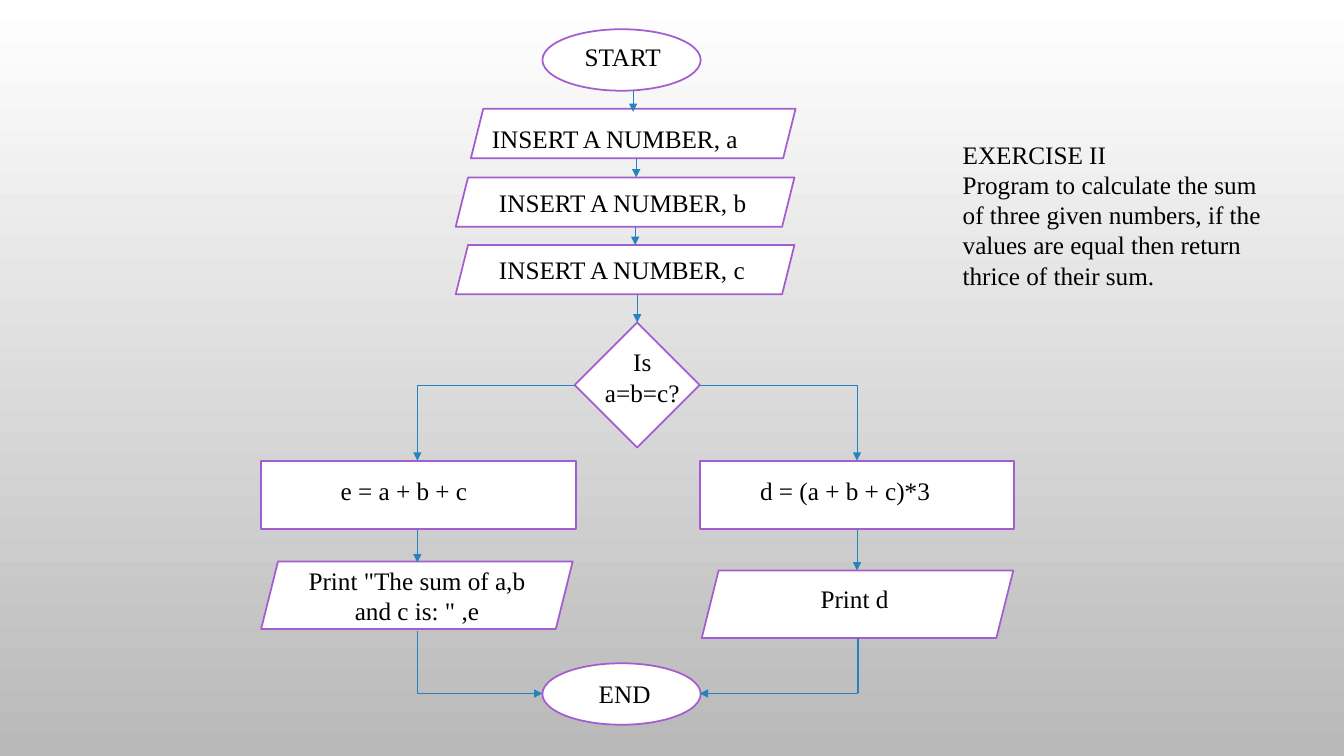
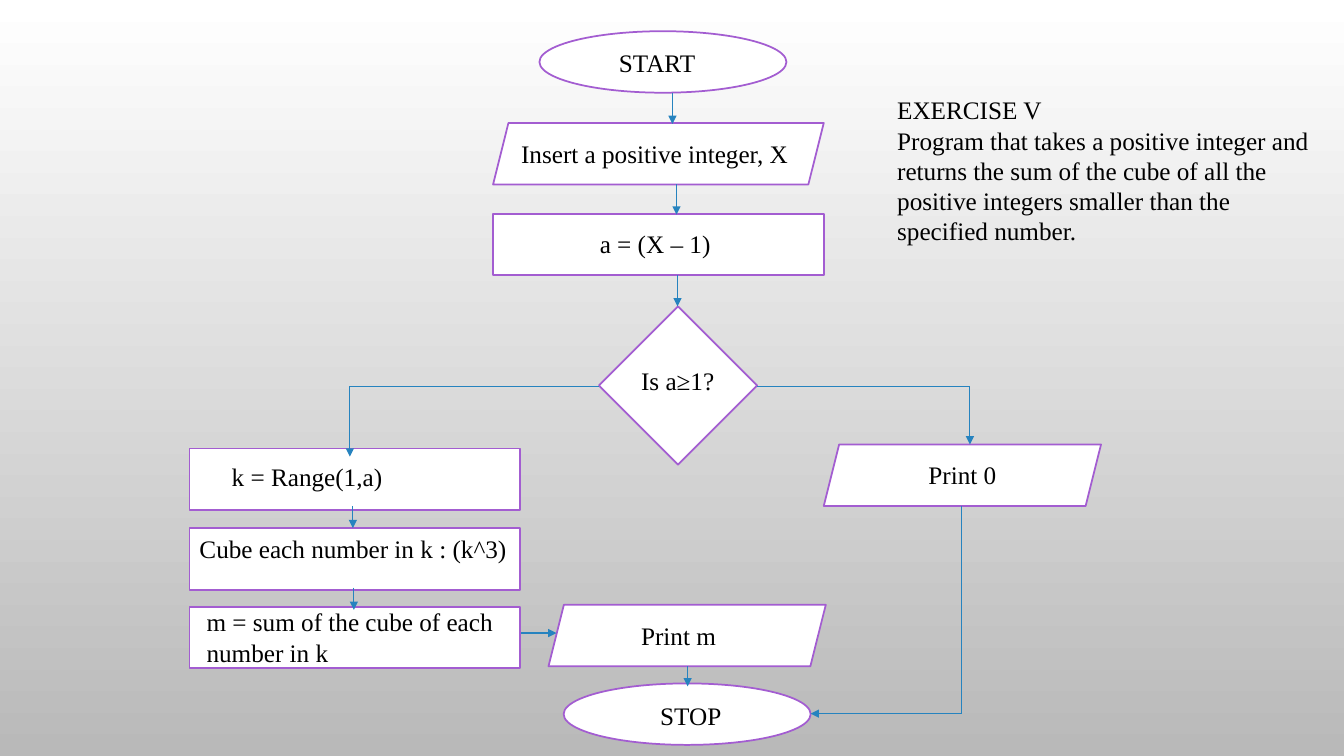
from lxml import etree
from pptx import Presentation
from pptx.dml.color import RGBColor
from pptx.enum.shapes import MSO_CONNECTOR, MSO_SHAPE as SHAPE
from pptx.enum.text import MSO_ANCHOR as ANCHOR, PP_ALIGN as ALIGN
from pptx.oxml.ns import qn
from pptx.util import Pt

PX = 9144  # EMU in one px: 100 px to the inch
COLORS = {
    "text": "000000",
    "fill": "FFFFFF",
    "outline": "A35DD1",
    "arrow": "2683BF",
    "bg_top": "FFFFFF",
    "bg_bottom": "B9B9B9",
}


def rgb(name):
    return RGBColor.from_string(COLORS[name])


class Flowchart:
    """Holds the shared style and the slide being drawn."""

    font, size = "Times New Roman", 18
    outline_width, arrow_width = 1.25, 0.75

    def __init__(self, width, height):
        self.prs = Presentation()
        self.prs.slide_width, self.prs.slide_height = width * PX, height * PX
        self.slide = None

    def new_slide(self):
        self.slide = self.prs.slides.add_slide(self.prs.slide_layouts[6])
        fill = self.slide.background.fill
        fill.gradient()
        fill.gradient_angle = 270
        for stop, name in zip(fill.gradient_stops, ("bg_top", "bg_bottom")):
            stop.color.rgb = rgb(name)

    def set_text(self, tf, text, align, anchor):
        tf.text = text
        tf.word_wrap = True
        tf.vertical_anchor = anchor
        for p in tf.paragraphs:
            p.alignment = align
            for r in p.runs:
                r.font.name, r.font.size = self.font, Pt(self.size)
                r.font.color.rgb = rgb("text")

    def node(self, kind, x, y, w, h, text="", align=ALIGN.LEFT):
        s = self.slide.shapes.add_shape(kind, x * PX, y * PX, w * PX, h * PX)
        s.shadow.inherit = False
        s.fill.solid()
        s.fill.fore_color.rgb = rgb("fill")
        s.line.color.rgb = rgb("outline")
        s.line.width = Pt(self.outline_width)
        if text:
            self.set_text(s.text_frame, text, align, ANCHOR.MIDDLE)

    def label(self, x, y, w, h, text, align=ALIGN.LEFT):
        s = self.slide.shapes.add_textbox(x * PX, y * PX, w * PX, h * PX)
        self.set_text(s.text_frame, text, align, ANCHOR.TOP)

    def arrow(self, *points):
        """Joins the points with straight lines; the last one has the head."""
        for (x1, y1), (x2, y2) in zip(points, points[1:]):
            s = self.slide.shapes.add_connector(
                MSO_CONNECTOR.STRAIGHT, x1 * PX, y1 * PX, x2 * PX, y2 * PX)
            s.line.color.rgb = rgb("arrow")
            s.line.width = Pt(self.arrow_width)
            etree.SubElement(s._element.spPr, qn("a:effectLst"))
        ln = s._element.spPr.find(qn("a:ln"))
        etree.SubElement(ln, qn("a:tailEnd"), type="triangle")


def sum_slide(chart):
    chart.new_slide()
    chart.label(945, 133, 336, 222,
                "EXERCISE II\nProgram to calculate the sum of three given numbers, "
                "if the values are equal then return thrice of their sum.")

    # Start, end and the three inputs
    for y in (29, 658):
        chart.node(SHAPE.OVAL, 538, y, 157, 61)
    chart.label(570, 36, 96, 40, "START")
    chart.label(584, 668, 96, 40, "END")
    chart.node(SHAPE.PARALLELOGRAM, 467, 108, 322, 49)
    chart.label(478, 117, 300, 40, "INSERT A NUMBER, a")
    for y, name in ((176, "b"), (243, "c")):
        chart.node(SHAPE.PARALLELOGRAM, 452, y, 336, 49, f"INSERT A NUMBER, {name}")

    # Decision
    chart.node(SHAPE.DIAMOND, 570, 320, 124, 124)
    chart.label(575, 339, 124, 71, "Is\na=b=c?", ALIGN.CENTER)

    # Branches
    for x in (259, 694):
        chart.node(SHAPE.RECTANGLE, x, 457, 312, 68)
    chart.label(328, 467, 172, 40, "e = a + b + c")
    chart.label(744, 467, 215, 40, "d = (a + b + c)*3")
    chart.node(SHAPE.PARALLELOGRAM, 259, 557, 309, 67,
               'Print "The sum of a,b and c is: " ,e', ALIGN.CENTER)
    chart.node(SHAPE.PARALLELOGRAM, 696, 566, 309, 67)
    chart.label(804, 574, 124, 40, "Print d")

    # Arrows
    for x, top, bottom in ((628, 90, 111), (631, 157, 176), (630, 225, 243),
                           (632, 293, 320), (414, 525, 558), (850, 525, 566)):
        chart.arrow((x, top), (x, bottom))
    for side, x in ((570, 414), (694, 850)):
        chart.arrow((side, 382), (x, 382), (x, 457))
    for x, top, side in ((414, 626, 538), (851, 633, 694)):
        chart.arrow((x, top), (x, 688), (side, 688))


def cube_slide(chart):
    chart.new_slide()
    chart.label(880, 89, 441, 192,
                "EXERCISE V\nProgram that takes a positive integer and returns the sum "
                "of the cube of all the positive integers smaller than the specified number.")

    # Start, stop and the input
    for x, y in ((535, 31), (559, 678)):
        chart.node(SHAPE.OVAL, x, y, 245, 61)
    chart.label(604, 42, 133, 40, "START")
    chart.label(645, 690, 146, 40, "STOP")
    chart.node(SHAPE.PARALLELOGRAM, 489, 122, 328, 61)
    chart.label(507, 132, 293, 40, "Insert a positive integer, X")

    # Decision
    chart.node(SHAPE.DIAMOND, 594, 304, 157, 157)
    chart.label(626, 358, 104, 40, "Is a≥1?")

    # Calculations
    for x, y in ((489, 212), (188, 445), (188, 524), (188, 602)):
        chart.node(SHAPE.RECTANGLE, x, y, 328, 61)
    chart.label(585, 222, 159, 40, "a = (X – 1)")
    chart.label(220, 453, 254, 40, "k = Range(1,a)")
    chart.label(188, 524, 328, 61, "Cube each number in k : (k^3)")
    chart.label(195, 597, 328, 61, "m = sum of the cube of each number in k")

    # Outputs
    for x, y in ((544, 600), (817, 441)):
        chart.node(SHAPE.PARALLELOGRAM, x, y, 275, 61)
    chart.label(626, 610, 111, 40, "Print m")
    chart.label(911, 451, 92, 40, "Print 0")

    # Arrows
    for x, top, bottom in ((667, 92, 123), (671, 183, 213), (672, 273, 304),
                           (350, 502, 524), (351, 583, 605), (682, 661, 681)):
        chart.arrow((x, top), (x, bottom))
    chart.arrow((517, 628), (552, 628))
    for side, x, bottom in ((594, 347, 453), (751, 962, 441)):
        chart.arrow((side, 383), (x, 383), (x, bottom))
    chart.arrow((954, 502), (954, 708), (804, 708))


def main():
    chart = Flowchart(1333, 750)
    sum_slide(chart)
    cube_slide(chart)
    chart.prs.save("out.pptx")


if __name__ == "__main__":
    main()
